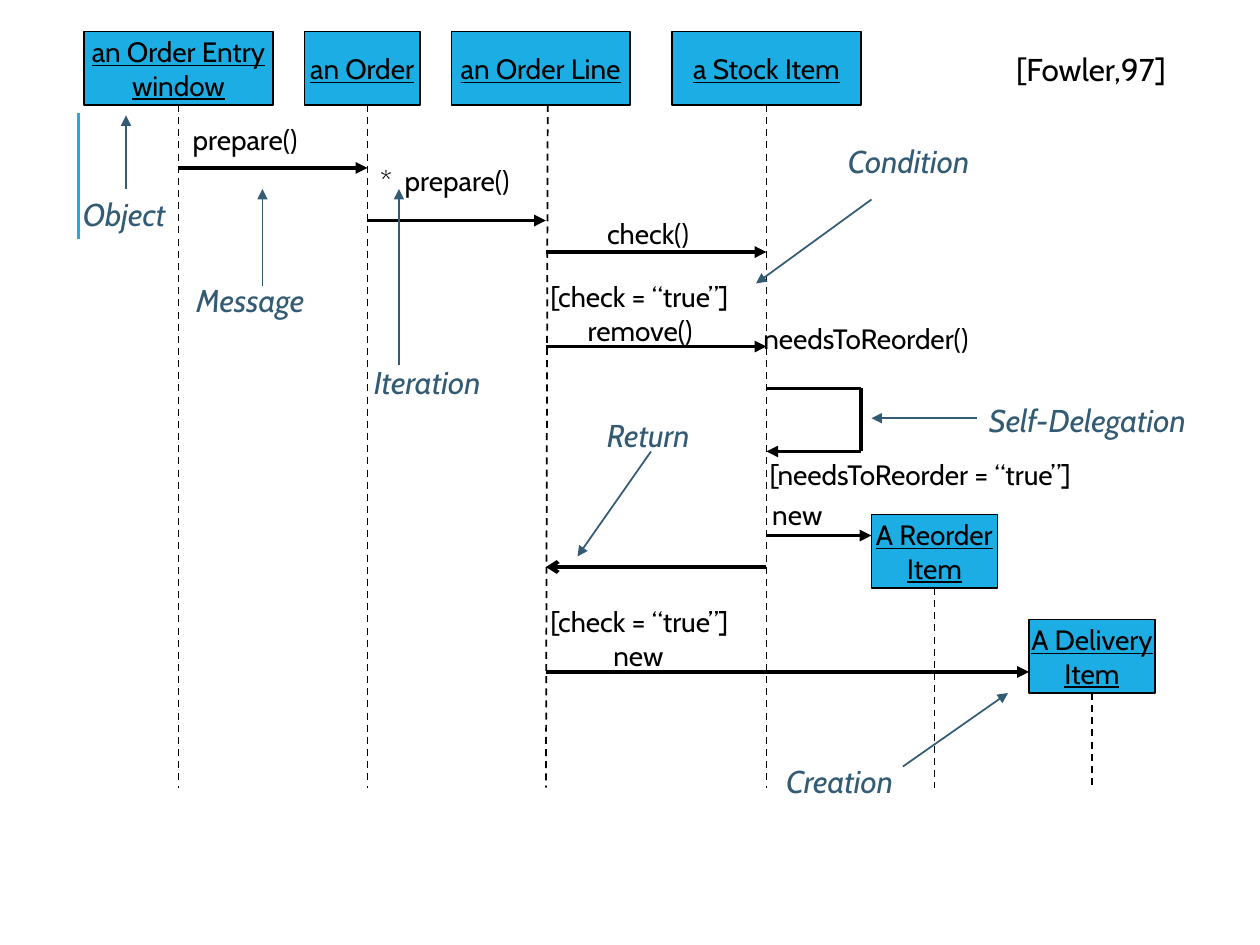
from typing import NamedTuple, Optional

from lxml.etree import SubElement
from pptx import Presentation
from pptx.dml.color import RGBColor
from pptx.enum.dml import MSO_LINE_DASH_STYLE as Dash
from pptx.enum.shapes import MSO_CONNECTOR as Connector, MSO_SHAPE as Shape
from pptx.enum.text import MSO_ANCHOR as Anchor, MSO_AUTO_SIZE as AutoSize, PP_ALIGN as Align
from pptx.oxml.ns import qn
from pptx.util import Pt

BLACK = RGBColor(0x00, 0x00, 0x00)
CYAN = RGBColor(0x1C, 0xAD, 0xE4)
SLATE = RGBColor(0x33, 0x5B, 0x74)
FONT = "Cabin"
BOX_HEIGHT = 42
LIFELINE_END = 450
# Lifelines of the four objects that exist from the start
WINDOW, ORDER, LINE, STOCK = 102, 210, 312, 438
LOOP = 492  # right edge of the self-delegation


class Participant(NamedTuple):
    name: str
    x: float
    y: float
    width: float
    top: float  # x of the lifeline at its top
    end: float  # x of the lifeline at its bottom


class Line(NamedTuple):
    x1: float
    y1: float
    x2: float
    y2: float
    head: Optional[str] = "triangle"


class Label(NamedTuple):
    text: str
    x: float
    y: float
    width: float
    tab: Optional[float] = None


class Note(NamedTuple):
    label: Label
    arrow: Line


PARTICIPANTS = [
    Participant("an Order Entry\nwindow", 48, 18, 108, WINDOW, WINDOW),
    Participant("an Order", 174, 18, 66, ORDER, ORDER),
    Participant("an Order Line", 258, 18, 102, LINE + 1, LINE),
    Participant("a Stock Item", 384, 18, 108, STOCK, STOCK),
    Participant("A Reorder\nItem", 498, 294, 72, 534, 534),
    Participant("A Delivery\nItem", 588, 354, 72, 624, 624),
]

MESSAGES = [
    Line(WINDOW, 96, ORDER, 96),
    Line(ORDER, 126, LINE, 126),
    Line(LINE, 144, STOCK, 144),
    Line(LINE, 198, STOCK, 198),
    Line(STOCK, 222, LOOP, 222, None),
    Line(LOOP, 222, LOOP, 258, None),
    Line(LOOP, 258, STOCK, 258),
    Line(STOCK, 324, LINE, 324, "arrow"),
    Line(LINE, 384, 588, 384),
    Line(STOCK, 306, 498, 306),
]

MESSAGE_LABELS = [
    Label("new", 434.2, 280.8, 45.4),
    Label("[check = “true”]\n\tnew", 307.4, 342, 127.4, 36),
    Label("[needsToReorder = “true”]", 432.7, 257.8, 209.5),
    Label("needsToReorder()", 429.1, 180, 148.3),
    Label("[check = “true”]\n\tremove()", 307.4, 156.2, 127.4, 21.4),
    Label("check()", 339.8, 120.2, 66.2),
    Label("*\tprepare()", 210.2, 90, 100.8, 14),
    Label("prepare()", 103, 66.2, 83.5),
]

NOTES = [
    Note(Label("Object", 40.3, 108, 65.5), Line(72, 108, 72, 66)),
    Note(Label("Message", 105.1, 157, 83.5), Line(150, 163.2, 150, 108)),
    Note(Label("Iteration", 206.6, 203.8, 83.5), Line(228, 208.8, 228, 108)),
    Note(Label("Return", 339.8, 234, 67.7), Line(372, 258, 330, 318)),
    Note(Label("Creation", 442.1, 432, 82.1), Line(516, 438, 576, 396)),
    Note(Label("Condition", 477.4, 77.8, 91.4), Line(498, 114, 432, 162)),
    Note(Label("Self-Delegation", 558, 225.4, 138.2), Line(558, 239, 498, 239)),
]


def write(tf, text: str, *, size: float = 16, color: RGBColor = BLACK, align=Align.LEFT,
          underline: bool = False, italic: bool = False, tab: Optional[float] = None) -> None:
    """Fill a text frame, one paragraph per line of text."""
    tf.text = text
    for p in tf.paragraphs:
        p.alignment = align
        if tab is not None:
            tabs = SubElement(p._p.get_or_add_pPr(), qn("a:tabLst"))
            SubElement(tabs, qn("a:tab"), pos=str(int(Pt(tab))), algn="l")
        for r in p.runs:
            f = r.font
            f.name, f.size, f.color.rgb = FONT, Pt(size), color
            f.underline, f.italic = underline, italic


def add_line(s, line: Line, color: RGBColor, width: float, dash=None):
    c = s.shapes.add_connector(Connector.STRAIGHT, Pt(line.x1), Pt(line.y1),
                               Pt(line.x2), Pt(line.y2))
    c.line.color.rgb = color
    c.line.width = Pt(width)
    if dash is not None:
        c.line.dash_style = dash
    if line.head:
        SubElement(c.line._get_or_add_ln(), qn("a:tailEnd"), type=line.head)
    SubElement(c._element.spPr, qn("a:effectLst"))
    return c


def add_label(s, label: Label, **style) -> None:
    lines = label.text.count("\n") + 1
    line_height = style.get("size", 16) * 1.2
    tb = s.shapes.add_textbox(Pt(label.x), Pt(label.y), Pt(label.width),
                              Pt(lines * line_height + 7.2))
    tf = tb.text_frame
    tf.word_wrap = True
    tf.auto_size = AutoSize.SHAPE_TO_FIT_TEXT
    write(tf, label.text, tab=label.tab, **style)


def add_participant(s, part: Participant) -> None:
    """Draw the object's box and the dashed lifeline below it."""
    sp = s.shapes.add_shape(Shape.RECTANGLE, Pt(part.x), Pt(part.y),
                            Pt(part.width), Pt(BOX_HEIGHT))
    sp.shadow.inherit = False
    sp.fill.solid()
    sp.fill.fore_color.rgb = CYAN
    sp.line.color.rgb = BLACK
    sp.line.width = Pt(1)
    tf = sp.text_frame
    tf.word_wrap = False
    tf.vertical_anchor = Anchor.MIDDLE
    write(tf, part.name, align=Align.CENTER, underline=True)

    lifeline = add_line(s, Line(part.top, part.y + BOX_HEIGHT, part.end, LIFELINE_END, None),
                        BLACK, 1, Dash.DASH)
    if part.top == part.x + part.width / 2:
        lifeline.begin_connect(sp, 2)


def main() -> None:
    prs = Presentation()
    prs.slide_width, prs.slide_height = Pt(720), Pt(540)
    s = prs.slides.add_slide(prs.slide_layouts[6])

    add_line(s, Line(45, 136.8, 45, 64.8, None), CYAN, 1.5)
    for part in PARTICIPANTS:
        add_participant(s, part)
    for message in MESSAGES:
        add_line(s, message, BLACK, 2.25)
    for label in MESSAGE_LABELS:
        add_label(s, label)
    for note in NOTES:
        add_label(s, note.label, size=18, color=SLATE, italic=True)
        add_line(s, note.arrow, SLATE, 1)
    add_label(s, Label("[Fowler,97]", 569.5, 25.2, 108), size=18, align=Align.CENTER)

    prs.save("out.pptx")


if __name__ == "__main__":
    main()
